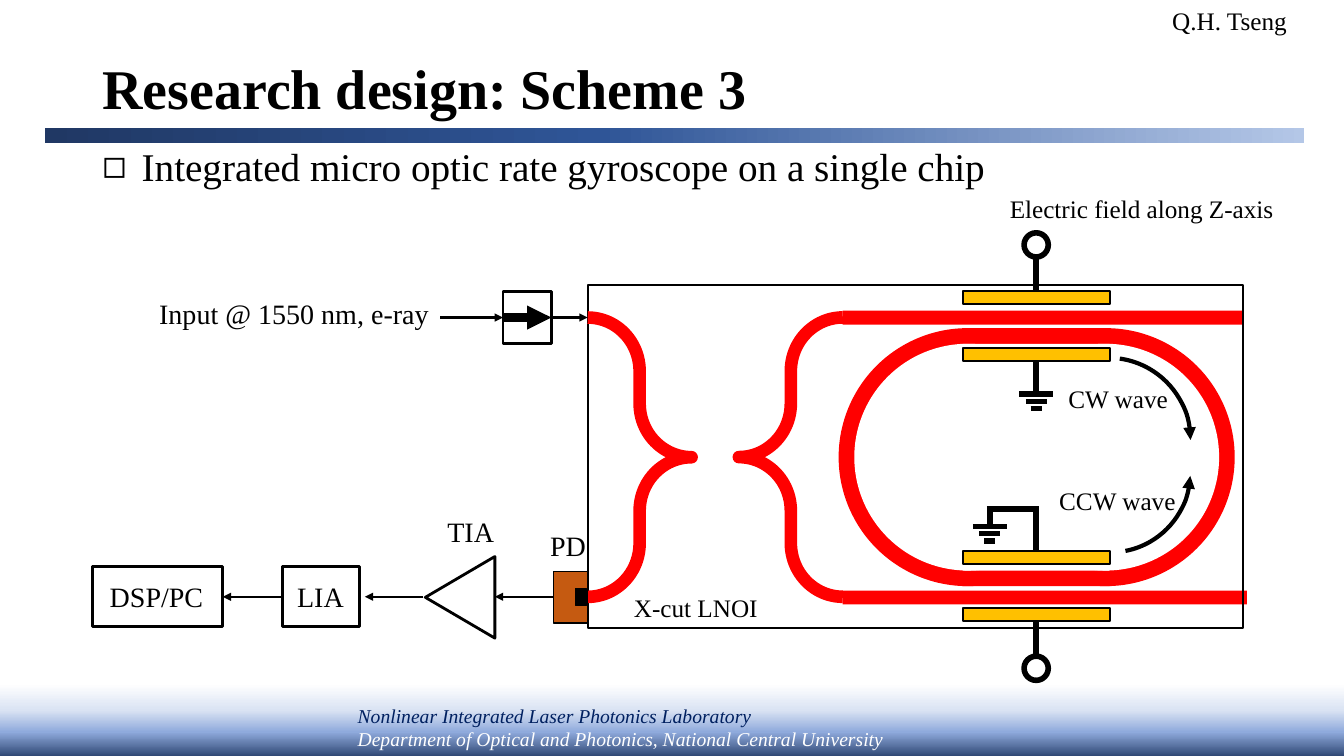
from typing import NamedTuple, Optional

from lxml.etree import SubElement
from pptx import Presentation
from pptx.dml.color import RGBColor
from pptx.enum.shapes import MSO_CONNECTOR, MSO_SHAPE as SHP
from pptx.enum.text import MSO_ANCHOR, MSO_AUTO_SIZE as FIT, PP_ALIGN
from pptx.oxml.ns import qn
from pptx.util import Pt

FONT = "Times New Roman"
COLORS = {
    "black": "000000", "white": "FFFFFF", "navy": "002060", "guide": "FF0000",
    "gold": "FFC000", "detector": "C55A11", "ice": "DAE3F3", "mist": "B4C7E7",
    "sky": "8FAADC", "blue": "2F5597", "deep": "203864",
}

TOP_Y, BOTTOM_Y = 226.8, 426.3  # axes of the two straight waveguides
MID_Y = (TOP_Y + BOTTOM_Y) / 2
CHIP_X, CHIP_RIGHT = 419.8, 887.8
ELECTRODE_X, ELECTRODE_W, ELECTRODE_H = 687.6, 105.1, 9.4
LEAD_X = ELECTRODE_X + ELECTRODE_W / 2
GROUND_X = 707


class Box(NamedTuple):
    kind: SHP
    x: float
    y: float
    w: float
    h: float
    fill: Optional[str] = None
    line: Optional[str] = None
    weight: float = 1
    rotation: float = 0
    adj: tuple = ()
    arrow: Optional[str] = None


class Wire(NamedTuple):
    x1: float
    y1: float
    x2: float
    y2: float
    weight: float = 1.5
    arrow: Optional[str] = "tailEnd"


class Label(NamedTuple):
    text: str
    x: float
    y: float
    w: float
    size: float = 18
    wrap: bool = True


def rgb(name: str) -> RGBColor:
    return RGBColor.from_string(COLORS[name])


def add_arrowhead(sp, end: str) -> None:
    ln = sp.element.spPr.find(qn("a:ln"))
    SubElement(ln, qn(f"a:{end}"), type="triangle")


def write(p, text: str, *, size: float, color: str = "black",
          bold: bool = False, italic: bool = False) -> None:
    r = p.add_run()
    r.text = text
    r.font.name, r.font.size = FONT, Pt(size)
    r.font.bold, r.font.italic = bold, italic
    r.font.color.rgb = rgb(color)


def add_box(s, b: Box):
    sp = s.shapes.add_shape(b.kind, Pt(b.x), Pt(b.y), Pt(b.w), Pt(b.h))
    sp.shadow.inherit = False
    sp.rotation = b.rotation
    for i, value in enumerate(b.adj):
        sp.adjustments[i] = value
    if b.fill:
        sp.fill.solid()
        sp.fill.fore_color.rgb = rgb(b.fill)
    else:
        sp.fill.background()
    if b.line:
        sp.line.color.rgb = rgb(b.line)
        sp.line.width = Pt(b.weight)
    else:
        sp.line.fill.background()
    if b.arrow:
        add_arrowhead(sp, b.arrow)
    return sp


def add_gradient(s, b: Box, stops: list, angle: float) -> None:
    """Draw a box filled with (percent, colour) stops."""
    sp = add_box(s, b)
    sp.fill.gradient()
    sp.fill.gradient_angle = angle
    gs_list = next(sp.element.spPr.iter(qn("a:gsLst")))
    for gs in list(gs_list):
        gs_list.remove(gs)
    for percent, color in stops:
        gs = SubElement(gs_list, qn("a:gs"), pos=str(percent * 1000))
        SubElement(gs, qn("a:srgbClr"), val=COLORS[color])


def add_wire(s, w: Wire) -> None:
    c = s.shapes.add_connector(MSO_CONNECTOR.STRAIGHT, Pt(w.x1), Pt(w.y1), Pt(w.x2), Pt(w.y2))
    c.line.color.rgb = rgb("black")
    c.line.width = Pt(w.weight)
    if w.arrow:
        add_arrowhead(c, w.arrow)
    SubElement(c.element.spPr, qn("a:effectLst"))


def add_text_box(s, x: float, y: float, w: float, h: float, wrap: bool):
    tf = s.shapes.add_textbox(Pt(x), Pt(y), Pt(w), Pt(h)).text_frame
    tf.word_wrap = wrap
    tf.auto_size = FIT.SHAPE_TO_FIT_TEXT
    return tf


def add_label(s, label: Label) -> None:
    tf = add_text_box(s, label.x, label.y, label.w, label.size * 1.2 + 7.2, label.wrap)
    write(tf.paragraphs[0], label.text, size=label.size)


def add_ground(s, x: float, y: float) -> None:
    for i, half in enumerate((12, 7.4, 4)):
        add_wire(s, Wire(x - half, y + 5.2 * i, x + half, y + 5.2 * i, 4, None))


def fill_placeholder(sp, y: float, h: float, text: str, anchor, **fmt):
    sp.left, sp.top, sp.width, sp.height = Pt(66), Pt(y), Pt(828), Pt(h)
    tf = sp.text_frame
    tf.word_wrap, tf.auto_size, tf.vertical_anchor = True, FIT.NONE, anchor
    p = tf.paragraphs[0]
    p.alignment, p.line_spacing, p.space_before = PP_ALIGN.LEFT, 0.9, Pt(0)
    write(p, text, **fmt)
    return p


def add_template(s) -> None:
    add_gradient(s, Box(SHP.RECTANGLE, 0, 486, 960, 62.6),
                 [(4, "white"), (34, "ice"), (59, "sky"), (91, "deep")], 270)
    add_gradient(s, Box(SHP.RECTANGLE, 32.4, 91.4, 899.3, 10.8),
                 [(0, "mist"), (56, "blue"), (100, "deep")], 180)
    add_label(s, Label("Q.H. Tseng", 830.2, 0, 97.2, wrap=False))
    tf = add_text_box(s, 248.4, 499, 393, 41, False)
    write(tf.paragraphs[0], "Nonlinear Integrated Laser Photonics Laboratory",
          size=14, color="navy", italic=True)
    write(tf.add_paragraph(), "Department of Optical and Photonics, National Central University",
          size=14, color="white", italic=True)


def add_racetrack(s) -> None:
    outer, inner = 184.3, 162
    centers = (ELECTRODE_X + 3.6, ELECTRODE_X + ELECTRODE_W - 2.9)
    bars = [Box(SHP.RECTANGLE, ELECTRODE_X, MID_Y - d / 2, ELECTRODE_W, d, fill)
            for d, fill in ((outer, "guide"), (inner, "white"))]
    rings = [Box(SHP.OVAL, cx - d / 2, MID_Y - d / 2, d, d, fill)
             for cx in centers for d, fill in ((outer, "guide"), (inner, "white"))]
    for b in (bars[0], *rings, bars[1]):
        add_box(s, b)


def main() -> None:
    prs = Presentation()
    prs.slide_width, prs.slide_height = Pt(960), Pt(540)
    s = prs.slides.add_slide(prs.slide_layouts[1])
    add_template(s)
    fill_placeholder(s.shapes.title, 28.8, 72.7, "Research design: Scheme 3",
                     MSO_ANCHOR.MIDDLE, size=40, bold=True)
    p = fill_placeholder(s.placeholders[1], 101.5, 384.5,
                         "Integrated micro optic rate gyroscope on a single chip",
                         MSO_ANCHOR.TOP, size=28)
    pPr = p._p.get_or_add_pPr()
    pPr.set("marL", str(Pt(28)))
    pPr.set("indent", str(Pt(-28)))
    SubElement(pPr, qn("a:buFont"), typeface=FONT)
    SubElement(pPr, qn("a:buChar"), char="◻")

    add_racetrack(s)
    brace_h = BOTTOM_Y - TOP_Y
    chip = [
        Box(SHP.RECTANGLE, 601.9, BOTTOM_Y - 4.5, 288.7, 10, "guide"),
        Box(SHP.RECTANGLE, 601.9, TOP_Y - 5, 285.8, 10, "guide"),
        Box(SHP.LEFT_BRACE, 527.8, TOP_Y, 74.2, brace_h, None, "guide", 9, 0, (0.517, 0.5)),
        Box(SHP.RECTANGLE, CHIP_X, 203.8, CHIP_RIGHT - CHIP_X, 244.8, None, "black", 1.5),
        Box(SHP.LEFT_BRACE, CHIP_X, TOP_Y, 74.2, brace_h, None, "guide", 9, 180, (0.517, 0.5)),
    ]
    instruments = [
        Box(SHP.RECTANGLE, 359.3, 208.1, 34.6, 37.4, "white", "black", 2),
        Box(SHP.ISOSCELES_TRIANGLE, 299.5, 401.8, 58.3, 49.7, "white", "black", 2, 270),
        Box(SHP.RECTANGLE, 395.3, 408.2, 24.5, 36.7, "detector", "black", 1),
        Box(SHP.RECTANGLE, 411.1, 420.5, 8, 12.2, "black", "black", 1),
        Box(SHP.RECTANGLE, 201.6, 404.6, 55.4, 43.2, "white", "black", 2),
        Box(SHP.RECTANGLE, 66.2, 404.6, 92.9, 43.2, "white", "black", 2),
    ]
    wave_arrows = [
        Box(SHP.ARC, 733, 255.6, 117.4, 117.4, None, "black", 3, 0, (166.797, 0), "tailEnd"),
        Box(SHP.ARC, 735.8, 280.1, 114.5, 114.5, None, "black", 3, 0, (1.605, 47.411), "headEnd"),
    ]
    electrodes = [Box(SHP.RECTANGLE, ELECTRODE_X, y, ELECTRODE_W, ELECTRODE_H, "gold", "black", 1.5)
                  for y in (208.1, 248.4, 393.8, 434.2)]
    terminals = [Box(SHP.OVAL, LEAD_X - 8.65, y, 17.3, 17.3, None, "black", 4)
                 for y in (166.3, 468.7)]
    for b in chip + instruments + wave_arrows + electrodes + terminals:
        add_box(s, b)

    signal_wires = [Wire(x1, BOTTOM_Y, x1 - 41.8, BOTTOM_Y) for x1 in (395.3, 302.4, 200.9)]
    signal_wires += [Wire(314.6, TOP_Y, 359.3, TOP_Y), Wire(393.8, TOP_Y, CHIP_X, TOP_Y),
                     Wire(359.3, TOP_Y, 393.8, TOP_Y, 5.75)]
    leads = [Wire(LEAD_X, y1, LEAD_X, y2, 4, None)
             for y1, y2 in ((183, 208.1), (257.8, 282.2), (468.7, 444), (363.6, 393.8))]
    leads += [Wire(GROUND_X, 362.2, GROUND_X, 377.3, 4, None),
              Wire(GROUND_X - 2, 363.6, LEAD_X + 2, 363.6, 4, None)]
    for w in signal_wires + leads:
        add_wire(s, w)
    add_ground(s, LEAD_X, 281.5)
    add_ground(s, GROUND_X, 376)

    for label in (
        Label("Input @ 1550 nm, e-ray", 106.6, 208.1, 218.2, 20),
        Label("X-cut LNOI", 445.7, 419.8, 103.7, wrap=False),
        Label("TIA", 312.5, 363.6, 50.4, 20),
        Label("PD", 385.9, 373.7, 50.4, 20),
        Label("LIA", 205.2, 410.4, 50.4, 20),
        Label("DSP/PC", 71.3, 410.4, 94.3, 20),
        Label("CW wave", 756, 270, 95),
        Label("CCW wave", 749.5, 343.4, 98.6, wrap=False),
        Label("Electric field along Z-axis", 714.2, 134.6, 205.2, wrap=False),
    ):
        add_label(s, label)
    prs.save("out.pptx")


if __name__ == "__main__":
    main()
